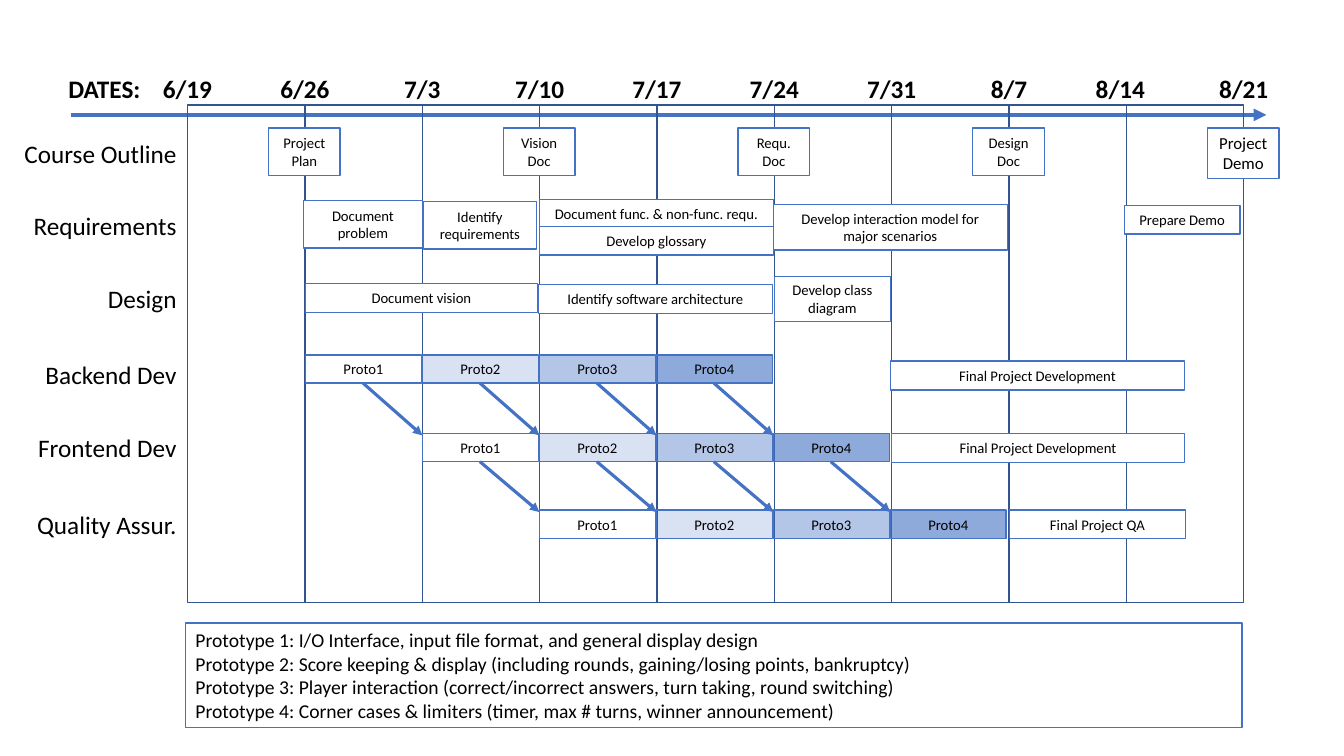
from pptx import Presentation
from pptx.dml.color import RGBColor
from pptx.enum.shapes import MSO_CONNECTOR, MSO_SHAPE
from pptx.enum.text import MSO_ANCHOR, PP_ALIGN
from pptx.oxml.ns import qn
from pptx.util import Inches, Pt
from lxml.etree import SubElement

COLORS = {"accent": "4472C4", "grid": "325491", "white": "FFFFFF", "black": "000000"}

deck = Presentation()
deck.slide_width, deck.slide_height = Inches(13.33), Inches(7.5)
page = deck.slides.add_slide(deck.slide_layouts[6])


def add_box(text, left, top, width, height, size=10.5, bold=False, align=PP_ALIGN.CENTER,
            fill="white", line="accent", opacity=100, framed=True, wrap=True):
    area = [Inches(value) for value in (left, top, width, height)]
    if framed:
        box = page.shapes.add_shape(MSO_SHAPE.RECTANGLE, *area)
        box.shadow.inherit = False
        box.line.color.rgb = RGBColor.from_string(COLORS[line])
        box.line.width = Pt(1)
        if fill:
            box.fill.solid()
            box.fill.fore_color.rgb = RGBColor.from_string(COLORS[fill])
            if opacity < 100:
                color = box.fill._xPr.find(qn("a:solidFill"))[0]
                SubElement(color, qn("a:alpha"), val=str(opacity * 1000))
        else:
            box.fill.background()
    else:
        box = page.shapes.add_textbox(*area)
    frame = box.text_frame
    frame.word_wrap = wrap
    frame.vertical_anchor = MSO_ANCHOR.MIDDLE if framed else MSO_ANCHOR.TOP
    for index, words in enumerate(text.split("\n") if text else []):
        para = frame.add_paragraph() if index else frame.paragraphs[0]
        para.alignment = align
        span = para.add_run()
        span.text = words
        span.font.name = "Calibri"
        span.font.size = Pt(size)
        span.font.bold = bold
        span.font.color.rgb = RGBColor.from_string(COLORS["black"])


def add_arrow(start_x, start_y, end_x, end_y, weight):
    arrow = page.shapes.add_connector(
        MSO_CONNECTOR.STRAIGHT, Inches(start_x), Inches(start_y), Inches(end_x), Inches(end_y))
    arrow.line.color.rgb = RGBColor.from_string(COLORS["accent"])
    arrow.line.width = Pt(weight)
    SubElement(arrow.line._get_or_add_ln(), qn("a:tailEnd"), type="triangle")
    SubElement(arrow._element.spPr, qn("a:effectLst"))


dates = ["6/19", "6/26", "7/3", "7/10", "7/17", "7/24", "7/31", "8/7", "8/14", "8/21"]
week = 1.164
date_x = [1.86 + week * index for index in range(len(dates))]

add_arrow(0.7, 1.14, 12.56, 1.14, 3)
for left in date_x[:-1]:
    add_box("", left, 1.04, week, 4.94, fill=None, line="grid")

add_box("DATES:", 0.58, 0.68, 0.92, 0.4, size=18, bold=True,
        align=PP_ALIGN.LEFT, framed=False, wrap=False)
for date, center in zip(dates, date_x):
    if date == "8/14":
        center -= 0.06
    add_box(date, center - 0.35, 0.68, 0.7, 0.4, size=18, bold=True, framed=False, wrap=False)

row_labels = [("Course Outline", 1.32), ("Requirements", 2.04), ("Design", 2.76),
              ("Backend Dev", 3.52), ("Frontend Dev", 4.24), ("Quality Assur.", 5.0)]
for label, top in row_labels:
    add_box(label, 0.1, top, 1.75, 0.4, size=18, align=PP_ALIGN.RIGHT, framed=False, wrap=False)

milestones = [("Project\nPlan", 1), ("Vision\nDoc", 3), ("Requ.\nDoc", 5), ("Design\nDoc", 7)]
for milestone, column in milestones:
    add_box(milestone, date_x[column] - 0.36, 1.27, 0.71, 0.47)
add_box("Project\nDemo", date_x[9] - 0.36, 1.27, 0.71, 0.5, size=12)

tasks = [
    ("Document problem", 3.01, 1.99, 1.18, 0.47),
    ("Identify\nrequirements", 4.2, 2.0, 1.12, 0.47),
    ("Document func. & non-func. requ.", 5.35, 1.98, 2.32, 0.28),
    ("Develop glossary", 5.35, 2.25, 2.32, 0.28),
    ("Develop interaction model for major scenarios", 7.67, 2.03, 2.32, 0.45),
    ("Prepare Demo", 11.15, 2.04, 1.15, 0.28),
    ("Document vision", 3.03, 2.81, 2.3, 0.29),
    ("Identify software architecture", 5.34, 2.82, 2.32, 0.29),
    ("Develop class diagram", 7.68, 2.74, 1.15, 0.45),
    ("Final Project Development", 8.83, 3.58, 2.92, 0.29),
    ("Final Project Development", 8.84, 4.3, 2.91, 0.29),
    ("Final Project QA", 10.01, 5.06, 1.75, 0.28),
]
for task in tasks:
    add_box(*task)

proto_tops = [3.52, 4.3, 5.06]
proto_step = 1.16
for row, top in enumerate(proto_tops):
    for number in range(4):
        left = 3.03 + proto_step * (row + number)
        add_box(f"Proto{number + 1}", left, top, 1.15, 0.28,
                fill="accent" if number else "white", opacity=20 * number or 100)

for row, (top, next_top) in enumerate(zip(proto_tops, proto_tops[1:])):
    for number in range(4):
        left = 3.03 + proto_step * (row + number)
        add_arrow(left + 0.57, top + 0.28, left + proto_step, next_top + 0.02, 2.25)

prototypes = [
    "I/O Interface, input file format, and general display design",
    "Score keeping & display (including rounds, gaining/losing points, bankruptcy)",
    "Player interaction (correct/incorrect answers, turn taking, round switching)",
    "Corner cases & limiters (timer, max # turns, winner announcement)",
]
legend = "\n".join(f"Prototype {number}: {scope}" for number, scope in enumerate(prototypes, 1))
add_box(legend, 1.84, 6.18, 10.48, 1.04, size=14, align=PP_ALIGN.LEFT)

deck.save("out.pptx")
